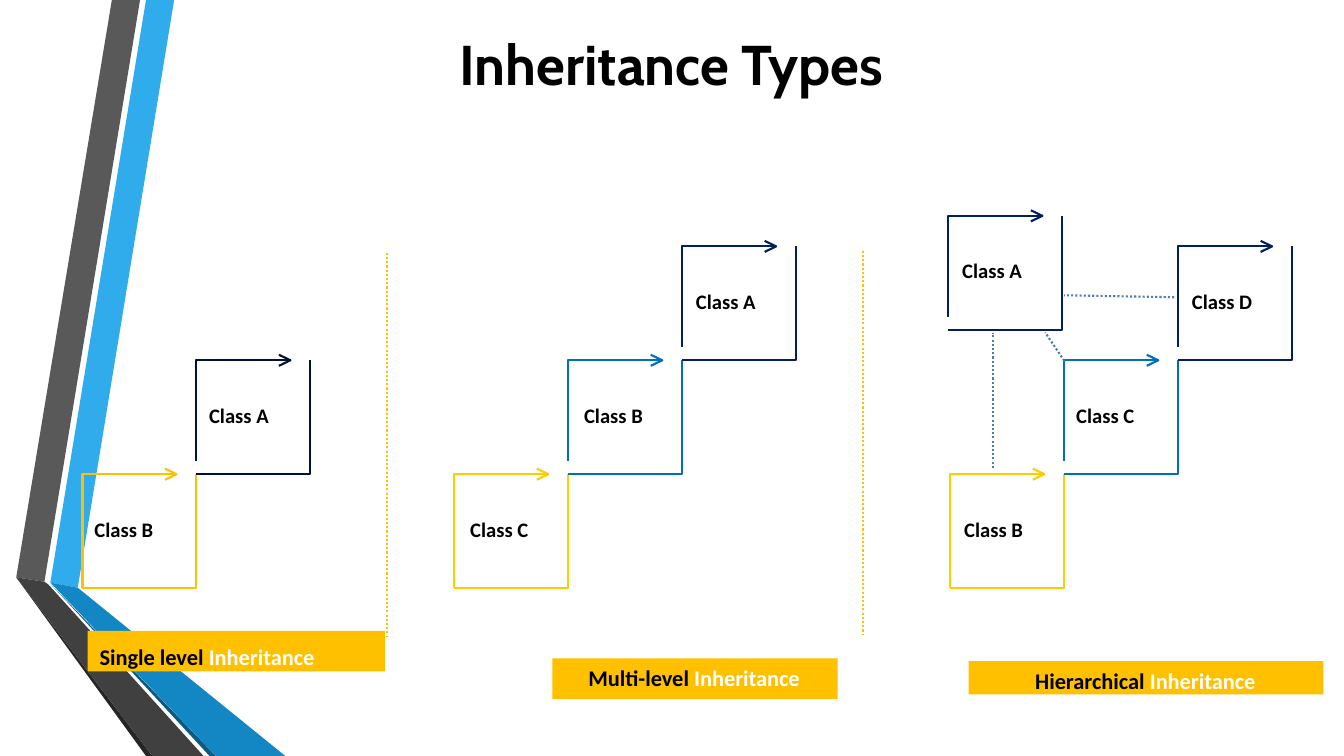
from dataclasses import dataclass

from lxml.etree import SubElement
from pptx import Presentation
from pptx.dml.color import RGBColor
from pptx.enum.dml import MSO_LINE
from pptx.enum.shapes import MSO_CONNECTOR, MSO_SHAPE
from pptx.enum.text import MSO_ANCHOR, PP_ALIGN
from pptx.oxml.ns import qn
from pptx.util import Cm, Pt


@dataclass(frozen=True)
class Theme:
    black: str = "000000"
    white: str = "FFFFFF"
    amber: str = "FFC000"
    yellow: str = "FFCC00"
    blue: str = "006FC0"
    navy: str = "001F5F"
    midnight: str = "001239"
    link: str = "497DBA"
    title_font: str = "Cabin"
    body_font: str = "Calibri"
    title_size: float = 40
    banner_size: float = 16
    label_size: float = 14.7
    line_width: float = 1.5


THEME = Theme()
BOX = 2.87  # side of a class box, and the step between neighbours, in cm

RIBBONS = [
    ("30ACEC", [(1.27, 14.68), (1.96, 14.81), (4.39, 0), (3.68, 0)]),
    ("595959", [(3.53, 0), (2.82, 0), (0.41, 14.55), (1.12, 14.66)]),
    ("262626", [(0.41, 14.55), (3.68, 19.05), (3.84, 19.05)]),
    ("0C5A82", [(1.27, 14.71), (5.28, 19.05), (5.44, 19.05)]),
    ("1287C3", [(1.27, 14.68), (5.44, 19.05), (7.19, 19.05), (1.96, 14.81)]),
    ("404040", [(5.13, 19.05), (1.22, 14.73), (1.12, 14.66), (0.41, 14.55),
                (3.84, 19.05)]),
]

# left edge, then (label, colour, label indent) from the lowest box upwards
STAIRS = [
    (2.08, [("Class B", THEME.amber, 0.3), ("Class A", THEME.midnight, 0.32)]),
    (11.45, [("Class C", THEME.yellow, 0.4), ("Class B", THEME.blue, 0.4),
             ("Class A", THEME.navy, 0.35)]),
    (23.95, [("Class B", THEME.yellow, 0.35), ("Class C", THEME.blue, 0.3),
             ("Class D", THEME.navy, 0.35)]),
]
STAIRS_TOP = 11.95

# left, top, width, height, text indent, text drop, kind
BANNERS = [
    (2.21, 15.9, 7.49, 1.02, 0.3, 0.3, "Single level "),
    (13.92, 16.59, 7.19, 1.02, 0.91, 0.15, "Multi-level "),
    (24.41, 16.66, 8.94, 0.84, 1.68, 0.15, "Hierarchical "),
]

DIVIDERS = [(9.75, 6.37, 9.75, 16.06), (21.74, 6.32, 21.74, 16)]
LINKS = [(25.02, 11.79, 25.02, 8.38), (26.82, 9.09, 26.34, 8.38),
         (29.59, 7.49, 26.82, 7.44)]


def rgb(code):
    return RGBColor.from_string(code)


def add_outline(s, contours, close):
    """Draw contours given in cm as one freeform."""
    contours = [[(Cm(x), Cm(y)) for x, y in points] for points in contours]
    builder = s.shapes.build_freeform(*contours[0][0])
    for i, points in enumerate(contours):
        if i:
            builder.move_to(*points[0])
        builder.add_line_segments(points[1:], close=close)
    sp = builder.convert_to_shape()
    sp.shadow.inherit = False
    return sp


def add_ribbon(s, colour, points):
    sp = add_outline(s, [points], close=True)
    sp.fill.solid()
    sp.fill.fore_color.rgb = rgb(colour)
    sp.line.fill.background()


def write(sp, runs, font, size, left=0, top=0.05):
    """Write bold (text, colour) runs on one line, inset in cm."""
    tf = sp.text_frame
    tf.word_wrap = True
    tf.margin_left, tf.margin_top = Cm(left), Cm(top)
    tf.margin_right = tf.margin_bottom = 0
    tf.vertical_anchor = MSO_ANCHOR.TOP
    p = tf.paragraphs[0]
    p.alignment = PP_ALIGN.LEFT
    for text, colour in runs:
        r = p.add_run()
        r.text = text
        r.font.name, r.font.size, r.font.bold = font, Pt(size), True
        r.font.color.rgb = rgb(colour)


def add_title(s, text):
    sp = s.shapes.add_textbox(Cm(7.32), Cm(0.69), Cm(19.2), Cm(1.75))
    write(sp, [(text, THEME.black)], THEME.title_font, THEME.title_size)
    sp.text_frame.vertical_anchor = MSO_ANCHOR.MIDDLE
    sp.text_frame.paragraphs[0].alignment = PP_ALIGN.CENTER


def add_banner(s, left, top, width, height, indent, drop, kind):
    sp = s.shapes.add_shape(MSO_SHAPE.RECTANGLE, Cm(left), Cm(top),
                            Cm(width), Cm(height))
    sp.shadow.inherit = False
    sp.fill.solid()
    sp.fill.fore_color.rgb = rgb(THEME.amber)
    sp.line.fill.background()
    write(sp, [(kind, THEME.black), ("Inheritance", THEME.white)],
          THEME.body_font, THEME.banner_size, indent, drop)


def add_dotted_line(s, x1, y1, x2, y2, colour):
    line = s.shapes.add_connector(MSO_CONNECTOR.STRAIGHT,
                                  Cm(x1), Cm(y1), Cm(x2), Cm(y2))
    line.line.color.rgb = rgb(colour)
    line.line.width = Pt(THEME.line_width)
    line.line.dash_style = MSO_LINE.ROUND_DOT
    SubElement(line._element.spPr, qn("a:effectLst"))


def add_class_box(s, x, y, label, colour, indent, gap=0.33):
    """Draw a class box whose top edge is an arrow; gap opens its left side."""
    right, bottom, tip = x + BOX, y + BOX, x + 2.37
    sp = add_outline(s, [
        [(x, bottom - gap), (x, y), (tip, y)],
        [(tip - 0.29, y - 0.14), (tip, y), (tip - 0.29, y + 0.14)],
        [(right, y), (right, bottom), (x, bottom)],
    ], close=False)
    sp.fill.background()
    sp.line.color.rgb = rgb(colour)
    sp.line.width = Pt(THEME.line_width)
    text = s.shapes.add_textbox(Cm(x + indent), Cm(y + 1.02), Cm(2), Cm(0.69))
    write(text, [(label, THEME.black)], THEME.body_font, THEME.label_size)


def main():
    prs = Presentation()
    prs.slide_width, prs.slide_height = Cm(33.87), Cm(19.05)
    s = prs.slides.add_slide(prs.slide_layouts[6])
    for colour, points in RIBBONS:
        add_ribbon(s, colour, points)
    add_title(s, "Inheritance Types")
    for banner in BANNERS:
        add_banner(s, *banner)
    for divider in DIVIDERS:
        add_dotted_line(s, *divider, THEME.amber)
    for left, steps in STAIRS:
        for i, step in enumerate(steps):
            add_class_box(s, left + i * BOX, STAIRS_TOP - i * BOX, *step,
                          gap=0.33 if i else 0)
    for link in LINKS:
        add_dotted_line(s, *link, THEME.link)
    add_class_box(s, 23.9, 5.44, "Class A", THEME.navy, 0.35)
    prs.save("out.pptx")


if __name__ == "__main__":
    main()
